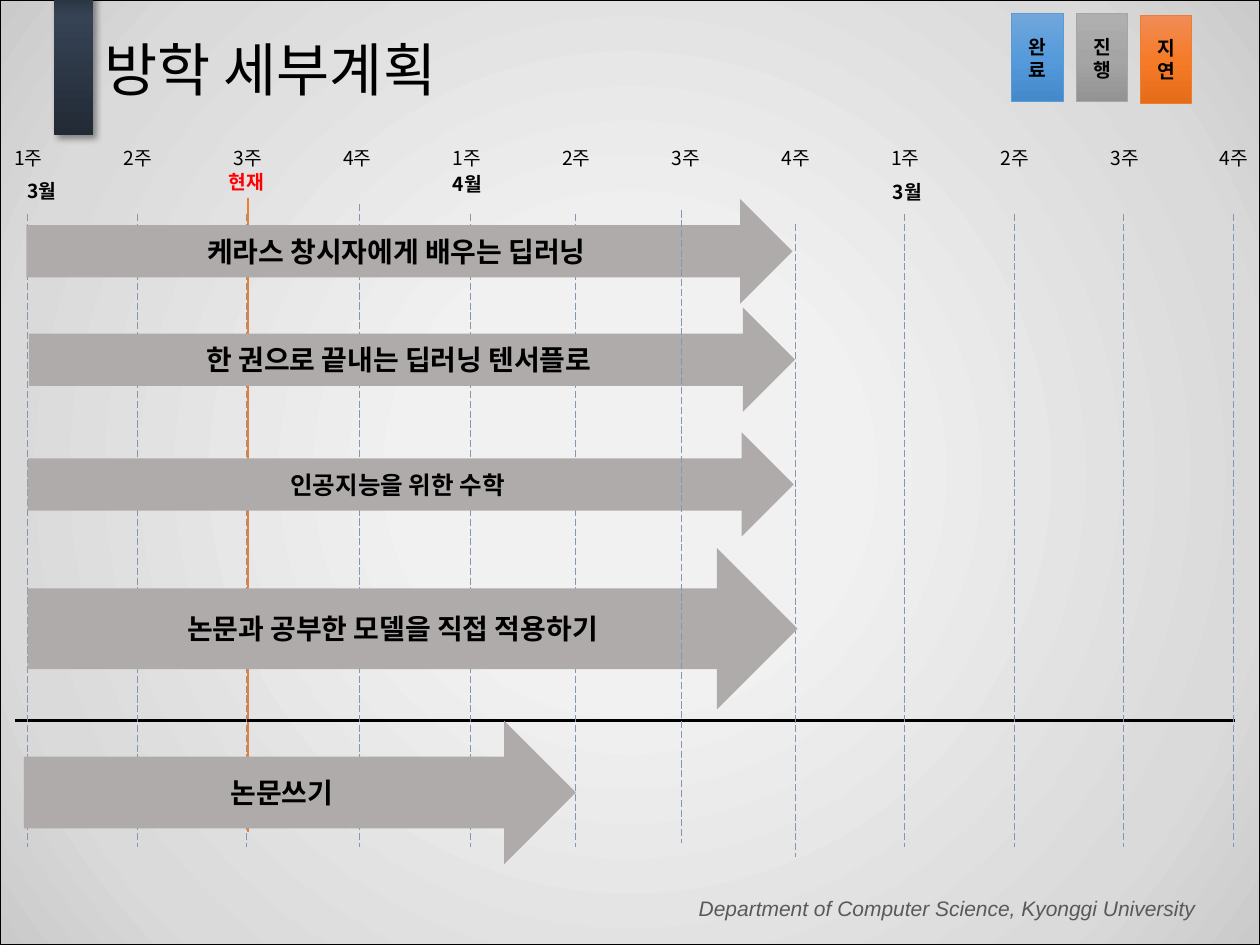
from dataclasses import dataclass

from lxml import etree
from pptx import Presentation
from pptx import util as u
from pptx.dml.color import RGBColor
from pptx.enum import dml, shapes, text
from pptx.oxml import ns

Inches, Pt = u.Inches, u.Pt
PRESET, ALIGN = shapes.MSO_SHAPE, text.PP_ALIGN


@dataclass(frozen=True)
class Theme:
    """Colours, fonts and type sizes of the deck."""
    korean: str = "Noto Sans CJK KR"
    latin: str = "Arial"
    ink: str = "000000"
    alert: str = "FF0000"
    footer: str = "595959"
    arrow: str = "AFABAB"
    grid: str = "8497B0"
    now: str = "ED7D31"
    backdrop: tuple = ((27, "F1F1F1"), (80, "DADADA"), (100, "CACACA"))
    accent: tuple = ((0, "222A35"), (80, "364355"), (100, "222A35"))
    done: tuple = ((0, "71A6DB"), (50, "559BDB"), (100, "448ACA"))
    doing: tuple = ((0, "AFAFAF"), (50, "A5A5A5"), (100, "939393"))
    late: tuple = ((0, "F18C57"), (50, "F67B28"), (100, "E56C19"))
    done_edge: str = "5B9BD5"
    doing_edge: str = "A5A5A5"
    late_edge: str = "ED7D31"
    title_size: float = 33
    task_size: float = 16
    small_task_size: float = 14
    footer_size: float = 12
    label_size: float = 11


def element(parent, tag, **attributes):
    """Append a DrawingML element and return it."""
    child = etree.SubElement(parent, ns.qn(tag))
    for name, value in attributes.items():
        child.set(name, str(value))
    return child


class Planner:
    """Draws the parts of a plan on the current slide."""

    def __init__(self, page, theme):
        self.page, self.theme = page, theme

    def set_text(self, frame, words, size, color=None, bold=False, italic=False,
                 align=ALIGN.CENTER, font=None):
        """Fill a text frame with one styled paragraph."""
        frame.word_wrap = True
        para = frame.paragraphs[0]
        para.text = words
        para.alignment = align
        style = para.font
        style.name = font or self.theme.korean
        style.size, style.bold, style.italic = Pt(size), bold, italic
        style.color.rgb = RGBColor.from_string(color or self.theme.ink)
        element(style._element, "a:ea", typeface=style.name)
        return para

    def title(self, words, left, top, width, height):
        """Place the title placeholder in front of the backdrop."""
        box = self.page.shapes.title
        box.left, box.top, box.width, box.height = map(Inches, (left, top, width, height))
        box.text_frame.auto_size = text.MSO_AUTO_SIZE.NONE
        box.text_frame.vertical_anchor = text.MSO_ANCHOR.MIDDLE
        para = self.set_text(box.text_frame, words, self.theme.title_size, align=ALIGN.LEFT)
        para.line_spacing = 0.9
        self.page.shapes._spTree.append(box._element)

    def label(self, words, left, top, width=0.59, height=0.29, size=None, **style):
        """Add a text box that grows with its text."""
        box = self.page.shapes.add_textbox(*map(Inches, (left, top, width, height)))
        self.set_text(box.text_frame, words, size or self.theme.label_size, **style)
        box.text_frame.auto_size = text.MSO_AUTO_SIZE.SHAPE_TO_FIT_TEXT

    def gradient(self, shape, stops, angle=None):
        """Fill a shape with a linear gradient, or a circular one without an angle."""
        shape.fill.gradient()
        fill = shape._element.spPr.find(ns.qn("a:gradFill"))
        for child in list(fill):
            fill.remove(child)
        stop_list = element(fill, "a:gsLst")
        for position, color in stops:
            stop = element(stop_list, "a:gs", pos=position * 1000)
            element(stop, "a:srgbClr", val=color)
        if angle is None:
            circle = element(fill, "a:path", path="circle")
            element(circle, "a:fillToRect", l=50000, t=50000, r=50000, b=50000)
        else:
            element(fill, "a:lin", ang=angle * 60000, scaled=0)

    def shape(self, preset, left, top, width, height, fill, angle=None, edge=None):
        """Add a flat or gradient preset shape."""
        shape = self.page.shapes.add_shape(preset, *map(Inches, (left, top, width, height)))
        shape.shadow.inherit = False
        if isinstance(fill, str):
            shape.fill.solid()
            shape.fill.fore_color.rgb = RGBColor.from_string(fill)
        else:
            self.gradient(shape, fill, angle)
        if edge:
            shape.line.color.rgb = RGBColor.from_string(edge)
            shape.line.width = Pt(0.5)
        else:
            shape.line.fill.background()
        return shape

    def caption(self, shape, words, size, **style):
        """Put bold text in the middle of a shape."""
        frame = shape.text_frame
        frame.margin_left = frame.margin_right = 0
        frame.vertical_anchor = text.MSO_ANCHOR.MIDDLE
        self.set_text(frame, words, size, bold=True, **style)

    def cast_shadow(self, shape):
        """Give a shape a soft shadow to the lower right."""
        effects = shape._element.spPr.find(ns.qn("a:effectLst"))
        shadow = element(effects, "a:outerShdw", blurRad=Pt(4), dist=Pt(3),
                         dir=45 * 60000, algn="tl", rotWithShape=0)
        color = element(shadow, "a:srgbClr", val=self.theme.ink)
        element(color, "a:alpha", val=40000)

    def line(self, start, end, color, width, dashed=False):
        """Add a straight line."""
        line = self.page.shapes.add_connector(
            shapes.MSO_CONNECTOR.STRAIGHT, *map(Inches, (*start, *end)))
        line.line.color.rgb = RGBColor.from_string(color)
        line.line.width = Pt(width)
        if dashed:
            line.line.dash_style = dml.MSO_LINE.LONG_DASH
        element(line._element.spPr, "a:effectLst")

    def week_line(self, left, top=1.7):
        """Add a dashed week marker."""
        self.line((left, top), (left, top + 5.02), self.theme.grid, 0.5, dashed=True)


def main():
    """Build the vacation plan."""
    theme = Theme()
    deck = Presentation()
    deck.slide_width, deck.slide_height = Inches(10), Inches(7.5)
    plan = Planner(deck.slides.add_slide(deck.slide_layouts[5]), theme)

    plan.shape(PRESET.RECTANGLE, 0, 0, 10, 7.5, theme.backdrop, edge=theme.ink)
    plan.label("Department of Computer Science, Kyonggi University", 1.93, 7.06, 7.66, 0.3,
               theme.footer_size, color=theme.footer, italic=True,
               align=ALIGN.RIGHT, font=theme.latin)
    plan.cast_shadow(plan.shape(PRESET.RECTANGLE, 0.43, -0.11, 0.31, 1.18, theme.accent, 270))
    plan.line((1.97, 1.57), (1.97, 6.6), theme.now, 1.5)
    plan.title("방학 세부계획", 0.73, -0.15, 8.62, 1.45)
    plan.line((0.12, 5.72), (9.8, 5.72), theme.ink, 1.5)

    for words, left, top, fill, edge in (
            ("완\v료", 8.03, 0.11, theme.done, theme.done_edge),
            ("진\v행", 8.54, 0.11, theme.doing, theme.doing_edge),
            ("지\v연", 9.05, 0.12, theme.late, theme.late_edge)):
        key = plan.shape(PRESET.RECTANGLE, left, top, 0.41, 0.7, fill, 90, edge)
        plan.caption(key, words, theme.label_size)

    for left in (0.22, 1.09, 1.96, 2.85, 3.73, 4.57, 7.18, 8.05, 8.92, 9.79):
        plan.week_line(left)
    plan.week_line(2.85, 1.62)
    plan.week_line(6.31, 1.78)
    for week in range(12):
        plan.label(f"{week % 4 + 1}주", -0.07 + 0.87 * week, 1.11)
    for month, left, top in (("3월", -0.16, 1.37), ("4월", 3.22, 1.32), ("3월", 6.71, 1.38)):
        plan.label(month, left, top, 0.98, bold=True)
    now = plan.page.shapes.add_textbox(*map(Inches, (1.73, 1.31, 0.45, 0.27)))
    plan.caption(now, "현재", theme.label_size, color=theme.alert)

    for words, left, top, width, height, size in (
            ("케라스 창시자에게 배우는 딥러닝", 0.21, 1.58, 6.08, 0.83, theme.task_size),
            ("한 권으로 끝내는 딥러닝 텐서플로", 0.23, 2.44, 6.08, 0.83, theme.task_size),
            ("인공지능을 위한 수학", 0.22, 3.43, 6.08, 0.83, theme.small_task_size),
            ("논문과 공부한 모델을 직접 적용하기", 0.22, 4.35, 6.11, 1.28, theme.task_size),
            ("논문쓰기", 0.19, 5.72, 4.38, 1.14, theme.task_size)):
        arrow = plan.shape(PRESET.RIGHT_ARROW, left, top, width, height, theme.arrow)
        plan.caption(arrow, words, size)
    plan.week_line(5.41, 1.67)

    deck.save("out.pptx")


if __name__ == "__main__":
    main()
